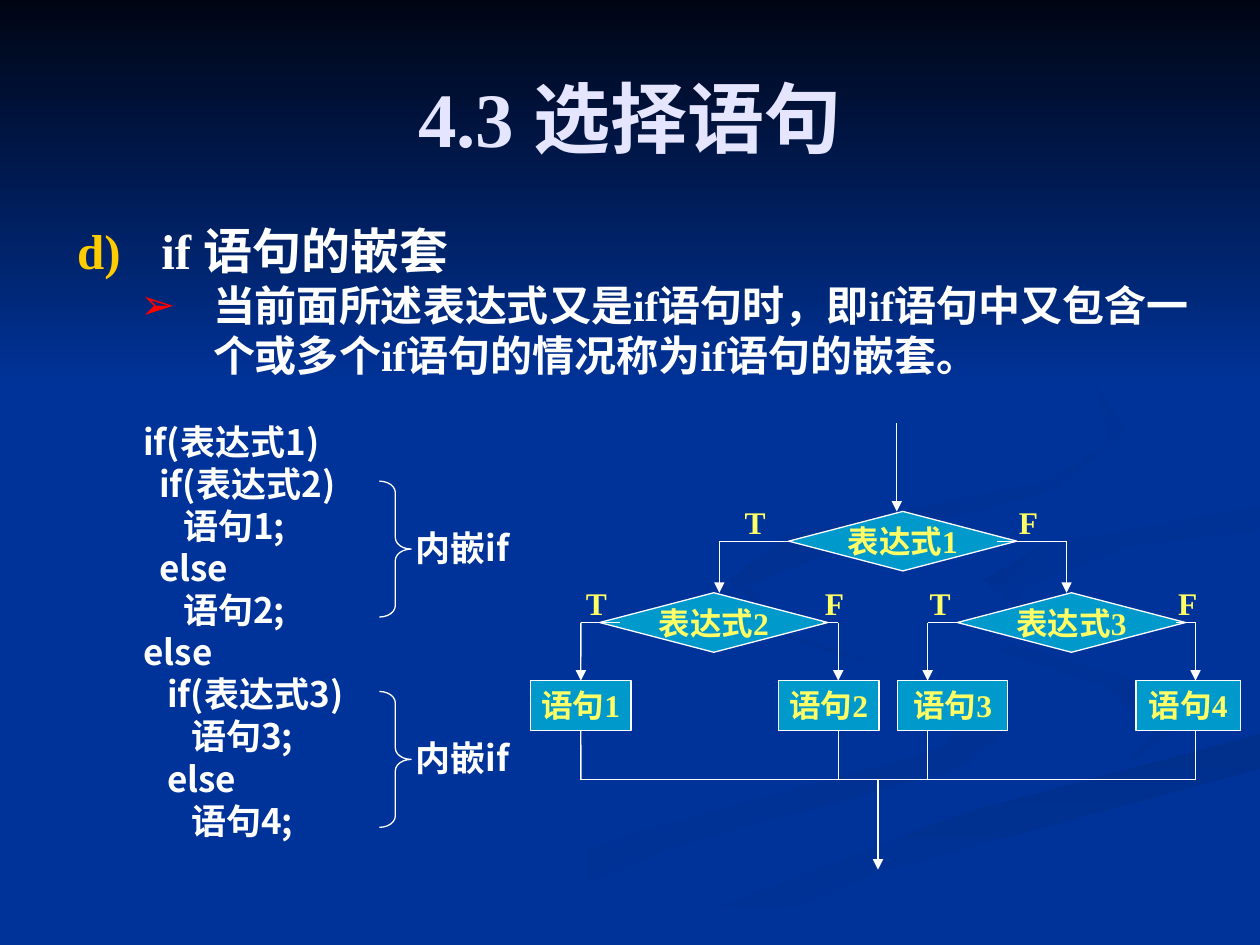
from dataclasses import dataclass
from typing import Optional

from lxml.etree import SubElement
from pptx import Presentation
from pptx.dml.color import RGBColor
from pptx.enum.shapes import MSO_CONNECTOR as CONN, MSO_SHAPE as SHAPE
from pptx.enum.text import MSO_ANCHOR as ANCHOR, MSO_AUTO_SIZE as AUTO, PP_ALIGN as ALIGN
from pptx.oxml.ns import qn
from pptx.util import Cm, Pt

SERIF, SANS = "Times New Roman", "Noto Sans CJK SC"
WHITE, YELLOW, BLUE, TEAL = "FFFFFF", "FFFF66", "003399", "0099CC"
DECISION, PROCESS = SHAPE.FLOWCHART_DECISION, SHAPE.FLOWCHART_PROCESS
TEST_H, TEST_W, ACTION_H, ACTION_TOP, MERGE_Y = 1.2, 4.6, 1, 13.72, 15.72


@dataclass
class Ribbon:
    points: list  # millimetres
    start: str
    end: str
    angle: int = 0  # clockwise


@dataclass
class Branch:
    label: str
    test: int
    start: float
    turn: float
    label_left: float
    action: Optional[int] = None
    joined: bool = False  # starts at the left corner of the test
    centred: bool = False  # meets the middle of the action


RIBBONS = [
    Ribbon([(198, 140), (156, 128), (146, 117), (146, 121), (160, 128), (198, 141), (190, 151),
            (127, 168), (76, 190), (92, 190), (135, 171), (193, 155), (203, 147)],
           BLUE, "003193"),
    Ribbon([(240, 145), (226, 136), (189, 126), (184, 118), (189, 127), (224, 139), (233, 148),
            (227, 154)], BLUE, "003193", 45),
    Ribbon([(128, 190), (145, 190), (176, 176), (254, 155), (254, 148), (194, 164), (145, 183)],
           "002F8C", BLUE, 90),
    Ribbon([(198, 117), (210, 126), (205, 119), (228, 110), (254, 107), (254, 102), (210, 110)],
           "003091", BLUE, 45),
    Ribbon([(173, 109), (212, 99), (227, 87), (217, 72), (194, 59), (220, 76), (224, 89),
            (211, 97), (159, 108), (147, 117), (158, 127), (151, 118)], "002F8E", BLUE, 45),
    Ribbon([(0, 0), (254, 0), (254, 78), (0, 78)], "000514", BLUE, 90),
]
TESTS = [(15.9, 10.31), (12.09, 11.95), (19.3, 11.95)]  # left, top
ACTIONS = [(10.7, 2.02), (15.7, 2.02), (18.1, 2.21), (22.9, 2.11)]  # left, width
BRANCHES = [
    Branch("T", 0, 15.9, 14.5, 14.76, joined=True),
    Branch("F", 0, 20.09, 21.5, 20.29),
    Branch("T", 1, 12.5, 11.71, 11.56, action=0, centred=True),
    Branch("F", 1, 16.59, 16.9, 16.38, action=1),
    Branch("T", 2, 19.3, 18.7, 18.49, action=2, joined=True),
    Branch("F", 2, 23.7, 24.1, 23.5, action=3),
]
CODE = """if(表达式1)
  if(表达式2)
     语句1;
  else
     语句2;
else
   if(表达式3)
      语句3;
   else
      语句4;"""


def rgb(color: str) -> RGBColor:
    return RGBColor.from_string(color)


def add_run(p, text: str, size: float, color: str, font: str = SERIF) -> None:
    r = p.add_run()
    r.text = text
    r.font.size, r.font.bold, r.font.name = Pt(size), True, font
    r.font.color.rgb = rgb(color)
    SubElement(r.font._element, qn("a:ea")).set("typeface", SANS)


def outline(sp) -> None:
    sp.line.color.rgb = rgb(WHITE)
    sp.line.width = Pt(0.75)


def place(sp, left: float, top: float, width: float, height: float) -> None:
    sp.left, sp.top, sp.width, sp.height = Cm(left), Cm(top), Cm(width), Cm(height)


def add_ribbon(shapes, ribbon: Ribbon) -> None:
    builder = shapes.build_freeform(*ribbon.points[0], scale=Cm(0.1))
    builder.add_line_segments(ribbon.points[1:], close=True)
    sp = builder.convert_to_shape()
    sp.shadow.inherit = False
    sp.line.fill.background()
    sp.fill.gradient()
    sp.fill.gradient_angle = -ribbon.angle % 360
    for stop, color in zip(sp.fill.gradient_stops, (ribbon.start, ribbon.end)):
        stop.color.rgb = rgb(color)


def add_node(shapes, kind: SHAPE, text: str, left: float, top: float,
             width: float, height: float):
    sp = shapes.add_shape(kind, Cm(left), Cm(top), Cm(width), Cm(height))
    sp.shadow.inherit = False
    sp.fill.solid()
    sp.fill.fore_color.rgb = rgb(TEAL)
    outline(sp)
    tf = sp.text_frame
    tf.word_wrap, tf.vertical_anchor = False, ANCHOR.MIDDLE
    p = tf.paragraphs[0]
    p.alignment = ALIGN.CENTER
    add_run(p, text, 18, YELLOW)
    return sp


def add_line(shapes, x1: float, y1: float, x2: float, y2: float, arrow: bool = False):
    line = shapes.add_connector(CONN.STRAIGHT, Cm(x1), Cm(y1), Cm(x2), Cm(y2))
    outline(line)
    if arrow:
        SubElement(line.line._get_or_add_ln(), qn("a:tailEnd")).set("type", "triangle")
    SubElement(line._element.spPr, qn("a:effectLst"))
    return line


def add_text(shapes, text: str, left: float, top: float, width: float, height: float,
             size: float, color: str, font: str, wrap: bool = True,
             spacing: Optional[float] = None) -> None:
    tf = shapes.add_textbox(Cm(left), Cm(top), Cm(width), Cm(height)).text_frame
    tf.word_wrap = wrap
    for i, row in enumerate(text.split("\n")):
        p = tf.add_paragraph() if i else tf.paragraphs[0]
        if spacing:
            p.line_spacing = Pt(spacing)
        add_run(p, row, size, color, font)


def add_branch(shapes, branch: Branch, tests: list, actions: list) -> None:
    y = TESTS[branch.test][1] + TEST_H / 2
    bottom = TESTS[1][1] if branch.action is None else ACTION_TOP
    level = add_line(shapes, branch.start, y, branch.turn, y)
    drop = add_line(shapes, branch.turn, y, branch.turn, bottom, arrow=True)
    if branch.joined:
        level.begin_connect(tests[branch.test], 1)
    if branch.centred:
        drop.end_connect(actions[branch.action], 0)
    add_text(shapes, branch.label, branch.label_left, y - 0.9, 0.93, 1.02, 18, YELLOW,
             SERIF, wrap=False)
    # Way from the action down to the merge line
    if branch.action is not None:
        down = add_line(shapes, branch.turn, ACTION_TOP + ACTION_H, branch.turn, MERGE_Y)
        if branch.centred:
            down.begin_connect(actions[branch.action], 2)


def set_bullet(p, margin: float, indent: float, color: str, tag: str, **attrs: str) -> None:
    pPr = p._p.get_or_add_pPr()
    pPr.set("marL", str(Cm(margin)))
    pPr.set("indent", str(Cm(indent)))
    SubElement(SubElement(pPr, qn("a:buClr")), qn("a:srgbClr")).set("val", color)
    bullet = SubElement(pPr, qn(tag))
    for name, value in attrs.items():
        bullet.set(name, value)
    p.space_before = Pt(0)


def main() -> None:
    prs = Presentation()
    prs.slide_width, prs.slide_height = Cm(25.4), Cm(19.05)
    s = prs.slides.add_slide(prs.slide_layouts[1])
    shapes = s.shapes
    s.background.fill.solid()
    s.background.fill.fore_color.rgb = rgb(BLUE)

    # Backdrop, behind the placeholders
    title, body = shapes.title, s.placeholders[1]
    for ribbon in RIBBONS:
        add_ribbon(shapes, ribbon)
    for sp in (title, body):
        shapes._spTree.append(sp._element)

    # Title
    place(title, 1.27, 0.76, 22.86, 3.18)
    title.text_frame.vertical_anchor = ANCHOR.MIDDLE
    p = title.text_frame.paragraphs[0]
    p.alignment = ALIGN.CENTER
    add_run(p, "4.3 选择语句", 44, "E5E5FF")

    # List
    place(body, 1.3, 4.32, 23.24, 4.4)
    tf = body.text_frame
    tf.auto_size, tf.vertical_anchor = AUTO.NONE, ANCHOR.TOP
    p = tf.paragraphs[0]
    set_bullet(p, 1.7, -1.7, "FFCC00", "a:buAutoNum", type="alphaLcParenR", startAt="4")
    add_run(p, "if 语句的嵌套", 28, WHITE)
    p = tf.add_paragraph()
    p.level = 1
    set_bullet(p, 2.74, -1.47, "FF0000", "a:buChar", char="➢")
    add_run(p, "当前面所述表达式又是if语句时，即if语句中又包含"
               "一个或多个if语句的情况称为if语句的嵌套。", 24, WHITE)

    # Code with braces
    add_text(shapes, CODE, 2.64, 8.36, 5.59, 9.58, 20, WHITE, SANS, spacing=24)
    for top in (9.7, 13.94):
        brace = shapes.add_shape(SHAPE.RIGHT_BRACE, Cm(7.65), Cm(top), Cm(0.64), Cm(2.74))
        brace.shadow.inherit = False
        brace.adjustments[0] = 0.36
        brace.fill.background()
        outline(brace)
        add_text(shapes, "内嵌if", 8.13, top + 0.79, 3.18, 1.09, 20, WHITE, SANS, spacing=24)

    # Flowchart
    add_line(shapes, 18.08, 8.53, 18.08, TESTS[0][1], arrow=True)
    tests = [add_node(shapes, DECISION, f"表达式{i}", left, top, TEST_W, TEST_H)
             for i, (left, top) in enumerate(TESTS, 1)]
    actions = [add_node(shapes, PROCESS, f"语句{i}", left, ACTION_TOP, width, ACTION_H)
               for i, (left, width) in enumerate(ACTIONS, 1)]
    for branch in BRANCHES:
        add_branch(shapes, branch, tests, actions)
    add_line(shapes, BRANCHES[2].turn, MERGE_Y, BRANCHES[-1].turn, MERGE_Y)
    add_line(shapes, 17.7, MERGE_Y, 17.7, 17.53, arrow=True)

    prs.save("out.pptx")


if __name__ == "__main__":
    main()
